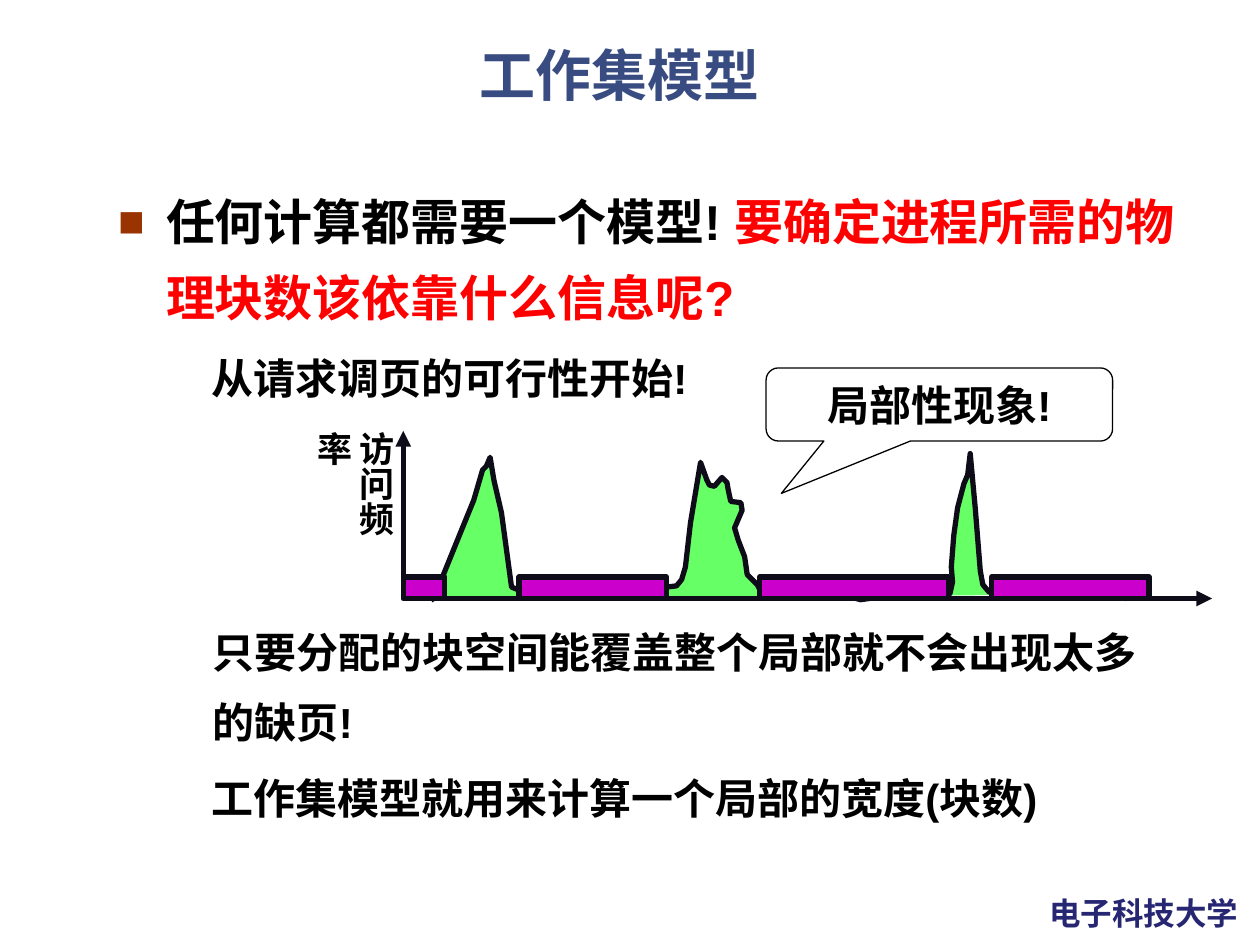
from pptx import Presentation
from pptx.dml.color import RGBColor
from pptx.enum.shapes import MSO_CONNECTOR, MSO_SHAPE
from pptx.enum.text import MSO_ANCHOR, MSO_AUTO_SIZE, PP_ALIGN
from pptx.oxml.ns import qn
from pptx.util import Inches, Pt
from lxml.etree import SubElement

INK = "0F0C19"
PEAKS = "66FF66"
BARS = "CC00CC"
BASELINE = 4.75
AXIS_LEFT = 3.2
BAR_HEIGHT = 0.17
BAR_SPANS = [(AXIS_LEFT, 0.33), (4.12, 1.17), (6.03, 1.5), (7.87, 1.25)]
FREQUENCY_CURVE = [
    (3.45, 4.77), (3.43, 4.74), (3.52, 4.56), (3.65, 4.24), (3.76, 3.97),
    (3.83, 3.73), (3.86, 3.7), (3.89, 3.63), (3.92, 3.81), (3.98, 4.07),
    (4.06, 4.66), (4.11, 4.68), (4.2, 4.69), (4.35, 4.7), (4.52, 4.74),
    (4.63, 4.74), (4.68, 4.72), (4.99, 4.68), (5.29, 4.66), (5.37, 4.65),
    (5.41, 4.6), (5.44, 4.5), (5.48, 4.15), (5.56, 3.67), (5.61, 3.81),
    (5.63, 3.85), (5.67, 3.86), (5.73, 3.79), (5.77, 3.83), (5.78, 3.89),
    (5.8, 3.98), (5.88, 3.99), (5.89, 4.05), (5.86, 4.12), (5.83, 4.19),
    (5.86, 4.29), (5.91, 4.42), (5.93, 4.56), (6.01, 4.64), (6.04, 4.7),
    (6.1, 4.72), (6.4, 4.69), (6.68, 4.72), (6.83, 4.76), (7.25, 4.7),
    (7.54, 4.71), (7.56, 4.62), (7.55, 4.5), (7.57, 4.25), (7.6, 4.03),
    (7.65, 3.84), (7.68, 3.77), (7.7, 3.6), (7.74, 4.03), (7.78, 4.53),
    (7.8, 4.64), (7.85, 4.7), (8.01, 4.7), (8.12, 4.69), (8.3, 4.65),
    (8.68, 4.64), (8.87, 4.68), (8.93, 4.75), (8.99, 4.74), (9.12, 4.71),
]


def color(code):
    """Turn a hex string into a colour."""
    return RGBColor.from_string(code)


def style_runs(paragraph, size, code):
    """Give every run of a paragraph the bold slide font."""
    for run in paragraph.runs:
        run.font.name = "Arial"
        run.font.size = Pt(size)
        run.font.bold = True
        run.font.color.rgb = color(code)


def paint(shape, fill, line, width):
    """Set fill and outline and drop the shadow."""
    shape.shadow.inherit = False
    shape.fill.solid()
    shape.fill.fore_color.rgb = color(fill)
    shape.line.color.rgb = color(line)
    shape.line.width = Pt(width)


def add_text(slide, box, text, size, code="000000", wrap=True):
    """Add a text box and return its paragraph."""
    frame = slide.shapes.add_textbox(*map(Inches, box)).text_frame
    frame.word_wrap = wrap
    frame.text = text
    style_runs(frame.paragraphs[0], size, code)
    return frame.paragraphs[0]


def add_title(slide, text):
    """Place and format the title placeholder."""
    title = slide.shapes.title
    title.left, title.top, title.width, title.height = map(Inches, (0.42, 0.33, 9, 0.74))
    frame = title.text_frame
    frame.text = text
    frame.auto_size = MSO_AUTO_SIZE.NONE
    frame.vertical_anchor = MSO_ANCHOR.TOP
    heading = frame.paragraphs[0]
    heading.alignment = PP_ALIGN.CENTER
    heading.line_spacing = 0.9
    style_runs(heading, 32, "384C81")


def add_question(slide):
    """Add the bulleted question with its red second part."""
    question = add_text(slide, (0.84, 1.33, 8.66, 0.95), "任何计算都需要一个模型! ", 28)
    properties = question._p.get_or_add_pPr()
    properties.set("marL", str(Inches(0.38)))
    properties.set("indent", str(-Inches(0.38)))
    bullet_color = SubElement(properties, qn("a:buClr"))
    SubElement(bullet_color, qn("a:srgbClr"), val="993300")
    SubElement(properties, qn("a:buSzPct"), val="90000")
    SubElement(properties, qn("a:buFont"), typeface="Arial")
    SubElement(properties, qn("a:buChar"), char="■")
    question.line_spacing = 1.3
    question.add_run().text = "要确定进程所需的物理块数该依靠什么信息呢?"
    style_runs(question, 28, "000000")
    question.runs[1].font.color.rgb = color("FF0000")


def add_statement(slide, left, top, height, text):
    """Add an indented second-level statement."""
    statement = add_text(slide, (left, top, 8.25, height), text, 24)
    statement.level = 1
    statement._p.get_or_add_pPr().set("marL", str(Inches(0.5)))
    statement.line_spacing = 1.4


def add_callout(slide, text):
    """Add the upside-down callout with upright text."""
    callout = slide.shapes.add_shape(
        MSO_SHAPE.ROUNDED_RECTANGULAR_CALLOUT, *map(Inches, (6.08, 2.92, 2.75, 0.58)))
    callout.rotation = 180
    for index, value in enumerate((0.456, -1.217, 0.167)):
        callout.adjustments[index] = value
    paint(callout, "FFFFFF", "000000", 0.75)
    frame = callout.text_frame
    frame._txBody.bodyPr.set("rot", "10800000")
    frame.vertical_anchor = MSO_ANCHOR.MIDDLE
    frame.text = text
    frame.paragraphs[0].alignment = PP_ALIGN.CENTER
    style_runs(frame.paragraphs[0], 24, "000000")


def add_curve(slide):
    """Draw the access frequency curve."""
    points = [(Inches(x), Inches(y)) for x, y in FREQUENCY_CURVE]
    builder = slide.shapes.build_freeform(*points[0])
    builder.add_line_segments(points[1:], close=False)
    paint(builder.convert_to_shape(), PEAKS, INK, 3)


def add_bar(slide, left, width):
    """Add a flat bar standing on the baseline."""
    box = map(Inches, (left, BASELINE - BAR_HEIGHT, width, BAR_HEIGHT))
    bar = slide.shapes.add_shape(MSO_SHAPE.RECTANGLE, *box)
    paint(bar, BARS, INK, 3)
    return bar


def add_axis(slide, start, end):
    """Add an axis arrow."""
    axis = slide.shapes.add_connector(MSO_CONNECTOR.STRAIGHT, *map(Inches, start + end))
    axis.line.color.rgb = color(INK)
    axis.line.width = Pt(3)
    SubElement(axis.line._get_or_add_ln(), qn("a:tailEnd"), type="triangle")
    SubElement(axis._element.spPr, qn("a:effectLst"))
    return axis


def add_graph(slide):
    """Draw the locality graph with bars, axes and label."""
    add_curve(slide)
    bars = [add_bar(slide, left, width) for left, width in BAR_SPANS]
    add_axis(slide, (AXIS_LEFT, BASELINE), (9.62, BASELINE))
    frequency_axis = add_axis(slide, (AXIS_LEFT, 4.67), (AXIS_LEFT, 3.42))
    frequency_axis.begin_connect(bars[0], 1)
    label = add_text(slide, (2.67, 3.33, 0.53, 1.25), "访问频率", 20)
    label._p.getparent().find(qn("a:bodyPr")).set("vert", "eaVert")


def main():
    """Build the slide and save it."""
    deck = Presentation()
    deck.slide_width, deck.slide_height = Inches(10), Inches(7.5)
    slide = deck.slides.add_slide(deck.slide_layouts[5])
    add_text(slide, (8.23, 7.05, 1.73, 0.4), "电子科技大学", 18, "262673", wrap=False)
    add_title(slide, "工作集模型")
    add_question(slide)
    add_statement(slide, 1.08, 2.59, 0.61, "从请求调页的可行性开始!")
    add_callout(slide, "局部性现象!")
    add_statement(slide, 1.09, 4.76, 1.17, "只要分配的块空间能覆盖整个局部就不会出现太多的缺页!")
    add_statement(slide, 1.08, 5.92, 0.61, "工作集模型就用来计算一个局部的宽度(块数)")
    add_graph(slide)
    deck.save("out.pptx")


if __name__ == "__main__":
    main()
